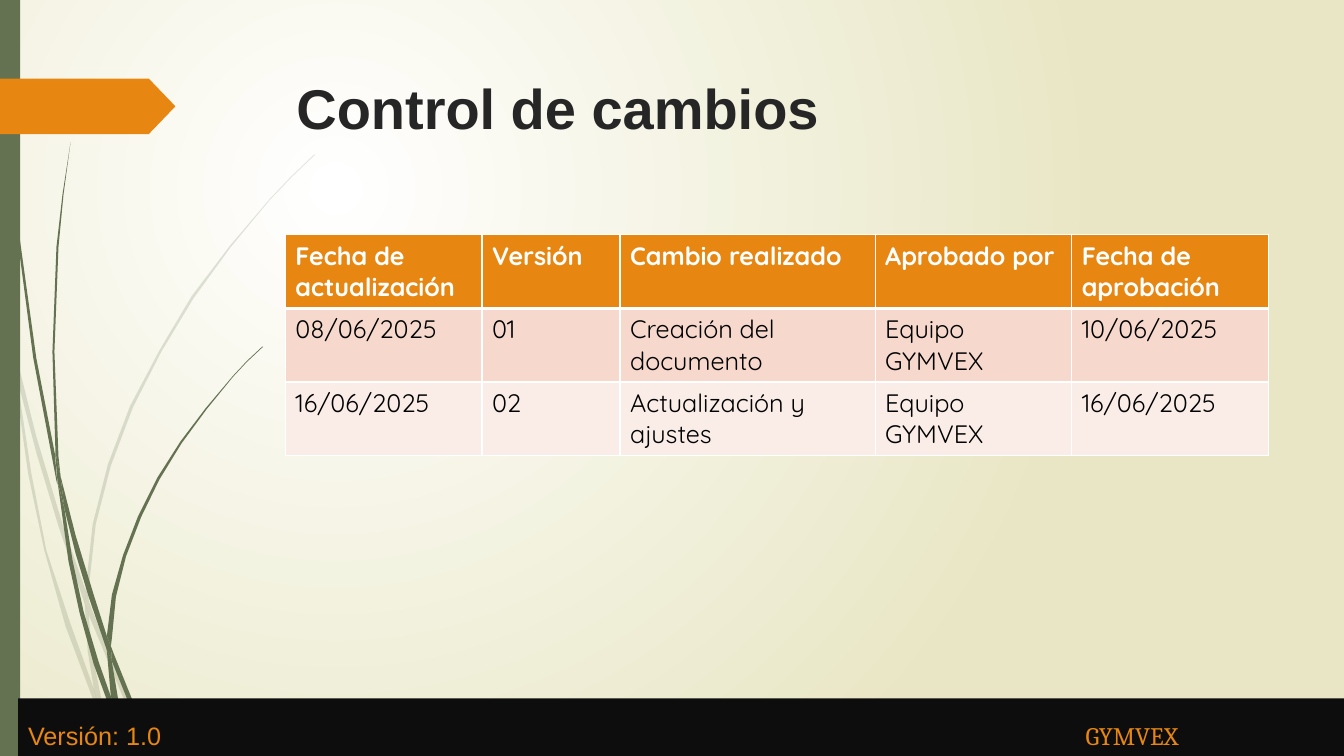
from lxml.etree import SubElement
from pptx import Presentation
from pptx.dml.color import RGBColor
from pptx.enum.shapes import MSO_SHAPE
from pptx.enum.text import MSO_ANCHOR, MSO_AUTO_SIZE, PP_ALIGN
from pptx.oxml.ns import qn
from pptx.util import Inches, Pt

COLORS = {
    "green": "647252", "orange": "E78712", "ink": "262626", "bar": "0D0D0D",
    "white": "FFFFFF", "black": "000000", "cream": "E8E6C4",
    "band1": "F6D9CC", "band2": "FAEDE7",
}
W, H = 13.33, 7.5

# Outlines of the grass blades, in hundredths of an inch
PALE_BLADES = [
    [(11, 350), (9, 322), (0, 282), (0, 299), (10, 344)],
    [(58, 522), (84, 599), (85, 586), (62, 520), (36, 433), (14, 345), (17, 376), (36, 449)],
    [(92, 607), (88, 596), (88, 610), (123, 694), (150, 751), (155, 751), (127, 692)],
    [(119, 751), (124, 751), (105, 711)],
    [(93, 683), (70, 619), (46, 546), (31, 469), (17, 376), (11, 350), (28, 470), (44, 546),
     (65, 621), (92, 693), (101, 714), (99, 707)],
    [(84, 599), (87, 646), (93, 683), (96, 692), (105, 711), (103, 706), (91, 646),
     (88, 610), (88, 608)],
    [(88, 584), (95, 520), (110, 462), (132, 404), (160, 349), (192, 296), (229, 245),
     (268, 198), (290, 175), (312, 154), (312, 153), (289, 175), (268, 197), (228, 244),
     (190, 294), (158, 348), (129, 403), (107, 461), (92, 520), (85, 584), (85, 586), (88, 596)],
    [(101, 714), (114, 751), (119, 751)],
    [(88, 608), (88, 610), (88, 596), (85, 586), (84, 599)],
    [(96, 692), (93, 683), (99, 707), (101, 714), (119, 751), (105, 711)],
]
DARK_BLADES = [
    [(7, 110), (17, 233), (33, 355), (56, 477), (57, 481), (55, 457), (55, 453), (36, 355),
     (19, 232), (8, 109), (5, 48), (4, 0), (3, 0), (4, 48)],
    [(88, 592), (106, 645), (106, 633), (106, 631), (93, 590), (75, 531), (60, 472),
     (64, 505), (75, 549)],
    [(113, 649), (110, 641), (111, 656), (132, 708), (152, 749), (157, 749), (136, 706)],
    [(110, 691), (98, 657), (83, 607), (72, 556), (64, 505), (57, 477), (68, 557),
     (79, 608), (93, 659), (111, 708), (117, 722), (116, 717)],
    [(60, 472), (58, 453), (54, 349), (58, 245), (63, 193), (70, 141), (62, 193), (56, 245),
     (52, 349), (55, 449)],
    [(133, 749), (136, 749), (122, 719)],
    [(57, 477), (64, 505), (60, 472), (55, 449), (55, 453)],
    [(111, 633), (115, 592), (125, 552), (140, 513), (158, 476), (180, 440), (205, 406),
     (231, 374), (245, 359), (261, 344), (260, 344), (245, 358), (231, 373), (204, 405),
     (179, 438), (156, 474), (137, 512), (122, 551), (111, 590), (106, 631), (110, 641)],
    [(117, 722), (127, 749), (131, 749)],
    [(106, 645), (110, 691), (116, 706), (122, 719), (121, 716), (111, 656), (109, 651)],
    [(106, 645), (109, 651), (111, 656), (110, 641), (106, 631), (106, 633)],
    [(116, 706), (110, 691), (116, 717), (117, 722), (130, 749), (133, 749), (122, 719)],
]
ROWS = [
    ["Fecha de actualización", "Versión", "Cambio realizado", "Aprobado por",
     "Fecha de aprobación"],
    ["08/06/2025", "01", "Creación del documento", "Equipo GYMVEX", "10/06/2025"],
    ["16/06/2025", "02", "Actualización y ajustes", "Equipo GYMVEX", "16/06/2025"],
]
COL_WIDTHS = [1.95, 1.37, 2.53, 1.95, 1.95]
ROW_FILLS = ["orange", "band1", "band2"]


def paint(shape, color):
    """Flat fill with no line and no shadow."""
    shape.fill.solid()
    shape.fill.fore_color.rgb = RGBColor.from_string(COLORS[color])
    shape.line.fill.background()
    shape.shadow.inherit = False


def add_run(p, text, color, **fmt):
    r = p.add_run()
    r.text = text
    r.font.color.rgb = RGBColor.from_string(COLORS[color])
    for name, value in fmt.items():
        setattr(r.font, name, value)


prs = Presentation()
prs.slide_width, prs.slide_height = Inches(W), Inches(H)
s = prs.slides.add_slide(prs.slide_layouts[5])

# Background: circular gradient
fill = s.background.fill
fill.gradient()
for stop, color in zip(fill.gradient_stops, ["white", "cream"]):
    stop.color.rgb = RGBColor.from_string(COLORS[color])
lin = next(s.background._cSld.iter(qn("a:lin")))
grad = lin.getparent()
grad.remove(lin)
circle = SubElement(grad, qn("a:path"), path="circle")
SubElement(circle, qn("a:fillToRect"), l="50000", t="50000", r="100000", b="100000")

# Grass: pale blades behind dark ones
for blades, alpha in [(PALE_BLADES, "20000"), (DARK_BLADES, None)]:
    for outline in blades:
        fb = s.shapes.build_freeform(*outline[0], scale=Inches(.01))
        fb.add_line_segments(outline[1:], close=True)
        blade = fb.convert_to_shape()
        paint(blade, "green")
        if alpha:
            rgb = next(blade._element.spPr.iter(qn("a:srgbClr")))
            SubElement(rgb, qn("a:alpha"), val=alpha)

# Side bar and arrow tag
side = s.shapes.add_shape(MSO_SHAPE.RECTANGLE, 0, 0, Inches(.2), Inches(H))
paint(side, "green")
tag = s.shapes.add_shape(MSO_SHAPE.PENTAGON, 0, Inches(.78), Inches(1.74), Inches(.55))
tag.adjustments[0] = .48
paint(tag, "orange")

# Title
title = s.shapes.title
title.left, title.top, title.width, title.height = map(Inches, (2.84, .68, 9.75, 1.4))
tf = title.text_frame
tf.auto_size, tf.vertical_anchor, tf.word_wrap = MSO_AUTO_SIZE.NONE, MSO_ANCHOR.TOP, True
p = tf.paragraphs[0]
p.alignment = PP_ALIGN.LEFT
add_run(p, "Control de cambios", "ink", size=Pt(40), name="Arial", bold=True)

# Table of changes
table = s.shapes.add_table(len(ROWS), len(COL_WIDTHS), Inches(2.83), Inches(2.33),
                           Inches(sum(COL_WIDTHS)), Inches(.73 * len(ROWS))).table
table.horz_banding = False
for col, width in zip(table.columns, COL_WIDTHS):
    col.width = Inches(width)
for i, row in enumerate(ROWS):
    for j, text in enumerate(row):
        cell = table.cell(i, j)
        tcPr = cell._tc.get_or_add_tcPr()
        for edge in "LRTB":
            thick = (i, edge) in [(0, "B"), (1, "T")]
            ln = SubElement(tcPr, qn(f"a:ln{edge}"), w=str(Pt(3 if thick else 1)))
            SubElement(SubElement(ln, qn("a:solidFill")), qn("a:srgbClr"), val=COLORS["white"])
        cell.fill.solid()
        cell.fill.fore_color.rgb = RGBColor.from_string(COLORS[ROW_FILLS[i]])
        add_run(cell.text_frame.paragraphs[0], text, "black" if i else "white",
                size=Pt(18), name="Quicksand", bold=i == 0)

# Footer: version at the left, team name at a tab stop
footer = s.shapes.add_shape(MSO_SHAPE.RECTANGLE, Inches(.18), Inches(6.93),
                            Inches(W - .18), Inches(H - 6.93))
paint(footer, "bar")
tf = footer.text_frame
tf.word_wrap, tf.vertical_anchor = True, MSO_ANCHOR.BOTTOM
p = tf.paragraphs[0]
p.alignment, p.line_spacing, p.space_after = PP_ALIGN.LEFT, 1.5, Pt(8)
tabs = SubElement(p._p.get_or_add_pPr(), qn("a:tabLst"))
SubElement(tabs, qn("a:tab"), pos=str(Inches(10.49)), algn="l")
add_run(p, "Versión: 1.0", "orange", size=Pt(18), name="Arial")
add_run(p, "\tGYMVEX", "orange", size=Pt(18), name="Cambria")

prs.save("out.pptx")
